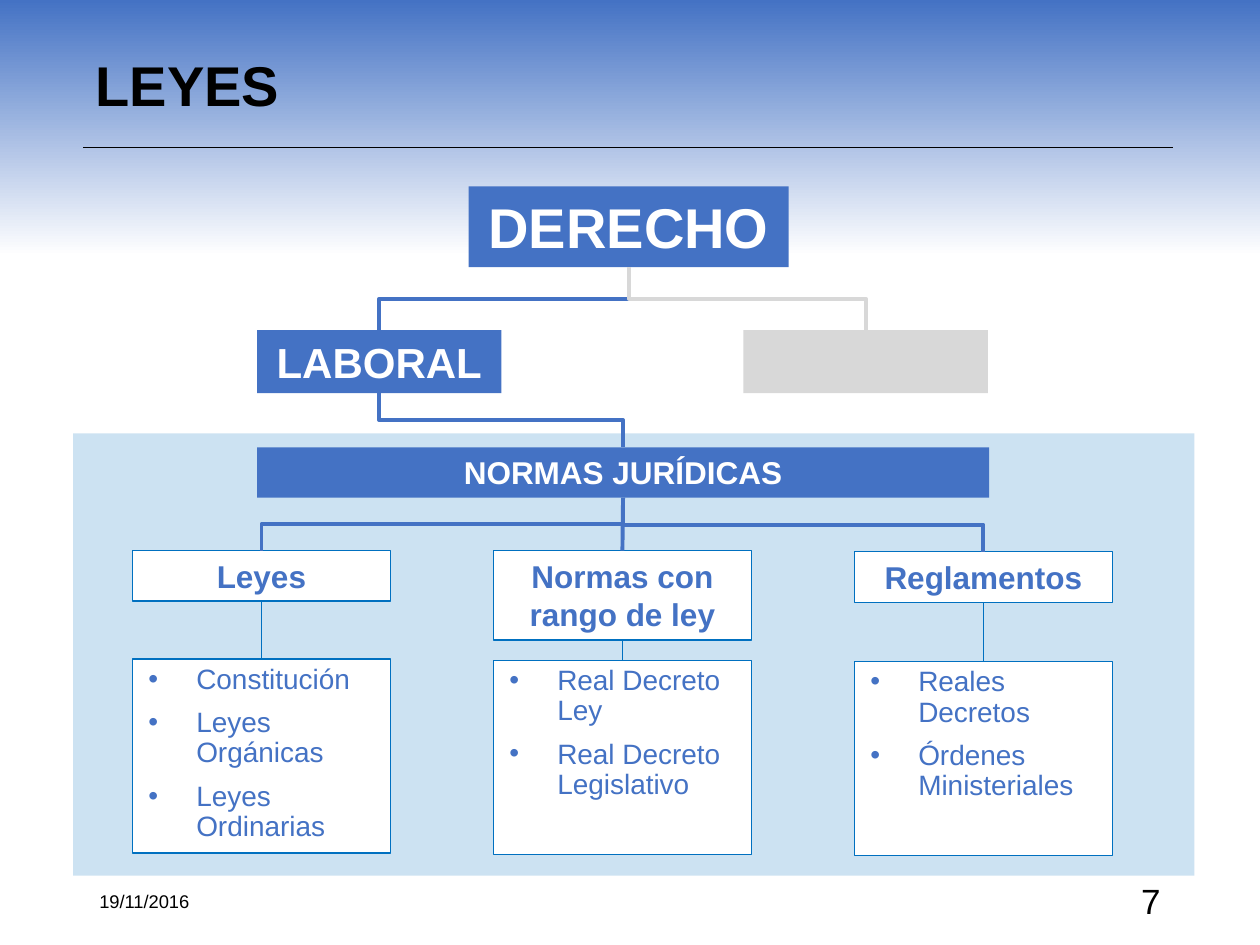
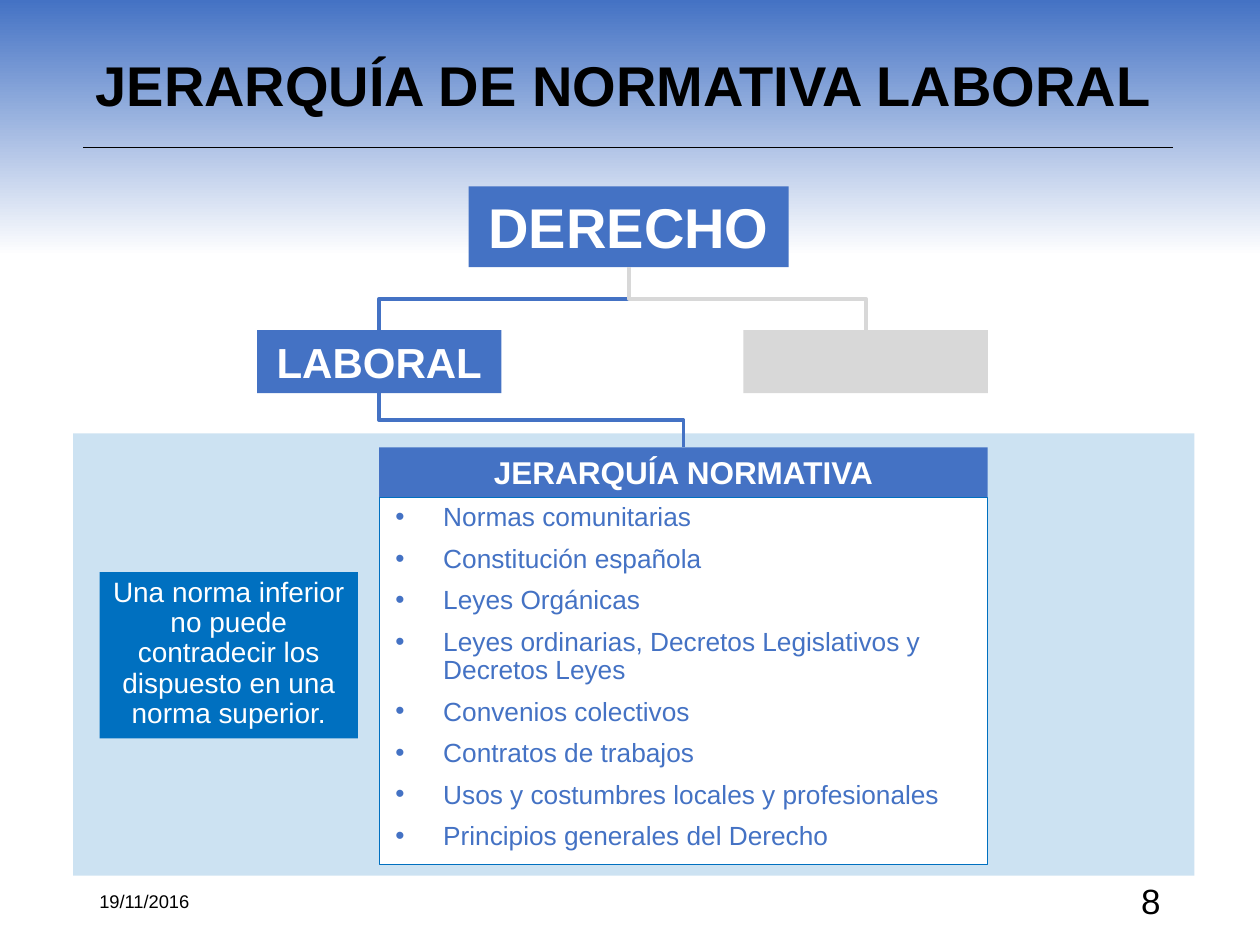
from dataclasses import dataclass

from lxml import etree
from pptx import Presentation
from pptx.dml.color import RGBColor
from pptx.enum.shapes import MSO_CONNECTOR, MSO_SHAPE
from pptx.enum.text import MSO_ANCHOR, MSO_AUTO_SIZE, PP_ALIGN
from pptx.oxml.ns import qn
from pptx.shapes.autoshape import Shape
from pptx.shapes.connector import Connector
from pptx.slide import Slide
from pptx.util import Inches, Pt

BOTTOM, TOP = 2, 0


@dataclass(frozen=True)
class Theme:
    font: str = "Arial"
    black: str = "000000"
    white: str = "FFFFFF"
    blue: str = "4472C4"
    accent: str = "0070C0"
    grey: str = "D8D8D8"
    title: float = 32
    branch: float = 24
    page_number: float = 20
    heading: float = 18
    body: float = 16
    small_body: float = 15
    date: float = 10.5
    thick: float = 2.25
    rule: float = 1
    thin: float = 0.75


@dataclass(frozen=True)
class Frame:
    left: float
    top: float
    width: float
    height: float

    def lengths(self) -> tuple[int, int, int, int]:
        return Inches(self.left), Inches(self.top), Inches(self.width), Inches(self.height)


@dataclass(frozen=True)
class TextStyle:
    size: float
    color: str
    bold: bool = False
    align: PP_ALIGN = PP_ALIGN.LEFT
    spacing: float = 1.0
    bulleted: bool = False


@dataclass(frozen=True)
class NormColumn:
    heading: str
    heading_top: float
    heading_height: float
    items: tuple[str, ...]


THEME = Theme()
TITLE = TextStyle(THEME.title, THEME.black, bold=True, spacing=0.9)
DATE = TextStyle(THEME.date, THEME.black)
PAGE_NUMBER = TextStyle(THEME.page_number, THEME.black, align=PP_ALIGN.RIGHT)
ROOT = TextStyle(THEME.title, THEME.white, bold=True, align=PP_ALIGN.CENTER)
BRANCH = TextStyle(THEME.branch, THEME.white, bold=True, align=PP_ALIGN.CENTER)
HEADING = TextStyle(THEME.heading, THEME.white, bold=True, align=PP_ALIGN.CENTER)
COLUMN_HEADING = TextStyle(THEME.heading, THEME.blue, bold=True, align=PP_ALIGN.CENTER)
NORM_LIST = TextStyle(THEME.body, THEME.blue, spacing=0.9, bulleted=True)
RANKING = TextStyle(THEME.small_body, THEME.blue, spacing=0.9, bulleted=True)
REMARK = TextStyle(THEME.body, THEME.white, align=PP_ALIGN.CENTER, spacing=0.9)

COLUMN_WIDTH = 2.05
FIRST_COLUMN, LAST_COLUMN = 1.05, 6.78
COLUMNS = (
    NormColumn("Leyes", 4.37, 0.4, ("Constitución", "Leyes Orgánicas", "Leyes Ordinarias")),
    NormColumn("Normas con rango de ley", 4.37, 0.71,
               ("Real Decreto Ley", "Real Decreto Legislativo")),
    NormColumn("Reglamentos", 4.38, 0.4, ("Reales Decretos", "Órdenes Ministeriales")),
)
RANKED_NORMS = (
    "Normas comunitarias",
    "Constitución española",
    "Leyes Orgánicas",
    "Leyes ordinarias, Decretos Legislativos y Decretos Leyes",
    "Convenios colectivos",
    "Contratos de trabajos",
    "Usos y costumbres locales y profesionales",
    "Principios generales del Derecho",
)


def rgb(color: str) -> RGBColor:
    return RGBColor.from_string(color)


def write(shape: Shape, lines: tuple[str, ...], style: TextStyle, anchor: MSO_ANCHOR) -> None:
    text = shape.text_frame
    text.word_wrap = True
    text.vertical_anchor = anchor
    for index, line in enumerate(lines):
        para = text.paragraphs[0] if index == 0 else text.add_paragraph()
        para.text = line
        para.alignment = style.align
        para.line_spacing = style.spacing
        para.font.name = THEME.font
        para.font.size = Pt(style.size)
        para.font.bold = style.bold
        para.font.color.rgb = rgb(style.color)
        if style.bulleted:
            para.space_before = Pt(7.5 if index else 0)
            properties = para._p.get_or_add_pPr()
            properties.set("marL", str(Inches(0.41)))
            properties.set("indent", str(Inches(-0.38)))
            etree.SubElement(properties, qn("a:buFont")).set("typeface", THEME.font)
            etree.SubElement(properties, qn("a:buChar")).set("char", "•")


def add_label(page: Slide, frame: Frame, text: str, style: TextStyle) -> None:
    label = page.shapes.add_textbox(*frame.lengths())
    write(label, (text,), style, MSO_ANCHOR.MIDDLE)


def add_box(page: Slide, frame: Frame, fill: str, lines: tuple[str, ...] = (),
            style: TextStyle = HEADING, outline: str | None = None,
            grows: bool = False) -> Shape:
    box = page.shapes.add_shape(MSO_SHAPE.RECTANGLE, *frame.lengths())
    box.shadow.inherit = False
    box.fill.solid()
    box.fill.fore_color.rgb = rgb(fill)
    if outline:
        box.line.color.rgb = rgb(outline)
        box.line.width = Pt(THEME.thin)
    else:
        box.line.fill.background()
    if lines:
        write(box, lines, style, MSO_ANCHOR.TOP)
    if grows:
        box.text_frame.auto_size = MSO_AUTO_SIZE.SHAPE_TO_FIT_TEXT
    return box


def style_line(line: Connector, color: str, width: float) -> None:
    line.line.color.rgb = rgb(color)
    line.line.width = Pt(width)
    etree.SubElement(line._element.spPr, qn("a:effectLst"))


def join(page: Slide, parent: Shape, child: Shape, color: str = THEME.blue,
         width: float = THEME.thick) -> None:
    """Link the parent's bottom to the child's top, with an elbow if they are not aligned."""
    start_x, start_y = parent.left + parent.width // 2, parent.top + parent.height
    end_x, end_y = child.left + child.width // 2, child.top
    across, down = end_x - start_x, end_y - start_y
    bent = abs(across) > Inches(0.02)
    kind = MSO_CONNECTOR.ELBOW if bent else MSO_CONNECTOR.STRAIGHT
    line = page.shapes.add_connector(kind, start_x, start_y, end_x, end_y)
    line.begin_connect(parent, BOTTOM)
    line.end_connect(child, TOP)
    if bent:
        # A vertical elbow is a horizontal one turned about its centre.
        line.left = (start_x + end_x - down) // 2
        line.top = (start_y + end_y - abs(across)) // 2
        line.width, line.height = down, abs(across)
        transform = line._element.spPr.find(qn("a:xfrm"))
        transform.set("rot", str((270 if across > 0 else 90) * 60000))
        transform.set("flipH", str(int(across > 0)))
        transform.set("flipV", "0")
    style_line(line, color, width)


def add_page(deck: Presentation, title: str, number: int) -> Slide:
    page = deck.slides.add_slide(deck.slide_layouts[6])
    band = add_box(page, Frame(0, 0, 10, 2.6), THEME.white)
    band.fill.gradient()
    band.fill.gradient_angle = 90
    stops = zip(band.fill.gradient_stops, (0.22, 1), (THEME.white, THEME.blue))
    for stop, position, color in stops:
        stop.position = position
        stop.color.rgb = rgb(color)
    rule = page.shapes.add_connector(MSO_CONNECTOR.STRAIGHT, Inches(0.66), Inches(1.17),
                                     Inches(9.31), Inches(1.17))
    style_line(rule, THEME.black, THEME.rule)
    panel = add_box(page, Frame(0.58, 3.44, 8.9, 3.51), THEME.accent)
    color = panel._element.spPr.find(qn("a:solidFill"))[0]
    etree.SubElement(color, qn("a:alpha")).set("val", "20000")
    add_label(page, Frame(0.69, 6.95, 2.25, 0.4), "19/11/2016", DATE)
    add_label(page, Frame(7.06, 6.95, 2.25, 0.4), str(number), PAGE_NUMBER)
    add_label(page, Frame(0.66, 0.23, 8.65, 0.94), title, TITLE)
    return page


def add_law_tree(page: Slide, heading: str, frame: Frame) -> Shape:
    """Draw the branches of law down to the heading box, and return that box."""
    root = add_box(page, Frame(3.72, 1.48, 2.54, 0.64), THEME.blue, ("DERECHO",), ROOT,
                   grows=True)
    labour = add_box(page, Frame(2.04, 2.62, 1.94, 0.5), THEME.blue, ("LABORAL",), BRANCH,
                     grows=True)
    other = add_box(page, Frame(5.9, 2.62, 1.94, 0.5), THEME.grey)
    join(page, root, labour)
    join(page, root, other, THEME.grey)
    norms = add_box(page, frame, THEME.blue, (heading,), HEADING, grows=True)
    join(page, labour, norms)
    return norms


def build_laws(deck: Presentation) -> None:
    page = add_page(deck, "LEYES", 7)
    norms = add_law_tree(page, "NORMAS JURÍDICAS", Frame(2.04, 3.55, 5.81, 0.4))
    pitch = (LAST_COLUMN - FIRST_COLUMN) / (len(COLUMNS) - 1)
    for index, column in enumerate(COLUMNS):
        left = FIRST_COLUMN + index * pitch
        heading = add_box(
            page, Frame(left, column.heading_top, COLUMN_WIDTH, column.heading_height),
            THEME.white, (column.heading,), COLUMN_HEADING, THEME.accent, grows=True)
        items = add_box(page, Frame(left, 5.23 + index * 0.01, COLUMN_WIDTH, 1.54),
                        THEME.white, column.items, NORM_LIST, THEME.accent)
        join(page, norms, heading)
        join(page, heading, items, THEME.accent, THEME.thin)


def build_hierarchy(deck: Presentation) -> None:
    page = add_page(deck, "JERARQUÍA DE NORMATIVA LABORAL", 8)
    add_law_tree(page, "JERARQUÍA NORMATIVA", Frame(3.01, 3.55, 4.83, 0.4))
    add_box(page, Frame(3.01, 3.95, 4.83, 2.91), THEME.white, RANKED_NORMS, RANKING,
            THEME.accent)
    remark = "Una norma inferior no puede contradecir los dispuesto en una norma superior."
    add_box(page, Frame(0.79, 4.54, 2.05, 1.32), THEME.accent, (remark,), REMARK)


def main() -> None:
    deck = Presentation()
    deck.slide_width, deck.slide_height = Inches(10), Inches(7.5)
    build_laws(deck)
    build_hierarchy(deck)
    deck.save("out.pptx")


if __name__ == "__main__":
    main()
